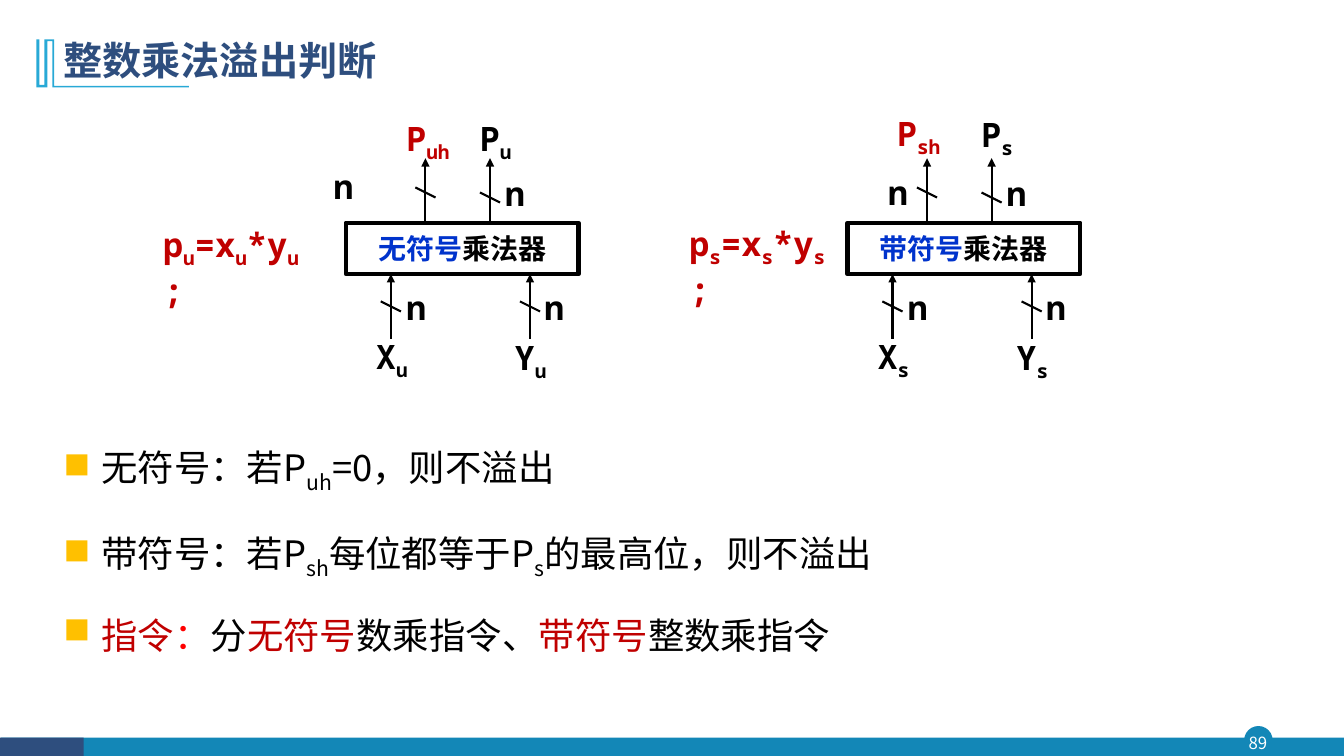
import dataclasses

import lxml.etree
import pptx
import pptx.dml.color
import pptx.enum.shapes
import pptx.enum.text
import pptx.oxml.ns
import pptx.util

Pt = pptx.util.Pt
Shape = pptx.enum.shapes.MSO_SHAPE
Align = pptx.enum.text.PP_ALIGN
Anchor = pptx.enum.text.MSO_ANCHOR


@dataclasses.dataclass(frozen=True)
class Theme:
    """Colours, fonts and type sizes of the slide."""
    navy: str = "2E4E7E"
    teal: str = "1387B7"
    sky: str = "28A9D6"
    amber: str = "FFC000"
    red: str = "C00000"
    bright_red: str = "FF0000"
    blue: str = "0033CC"
    black: str = "000000"
    white: str = "FFFFFF"
    sans: str = "Noto Sans CJK SC"
    mono: str = "Noto Sans Mono"
    title: int = 28
    body: int = 26
    label: int = 24
    box: int = 20
    number: int = 12


class Deck:
    """Draws styled elements, measured in points, on the current slide."""

    def __init__(self, prs, theme):
        self.theme = theme
        self.s = prs.slides.add_slide(prs.slide_layouts[6])
        self.shapes = self.s.shapes

    def rgb(self, color):
        return pptx.dml.color.RGBColor.from_string(color)

    def child(self, parent, tag, **attrs):
        return lxml.etree.SubElement(parent, pptx.oxml.ns.qn(tag), attrs)

    def add_runs(self, p, runs, size, font, bold=False):
        for text, color, lowered in runs:
            r = p.add_run()
            r.text = text
            r.font.size = Pt(size)
            r.font.name = font
            r.font.bold = bold
            r.font.color.rgb = self.rgb(color)
            props = r._r.get_or_add_rPr()
            self.child(props, "a:ea", typeface=self.theme.sans)
            if lowered:
                props.set("baseline", "-25000")

    def shape(self, kind, x, y, w, h, fill=None, line=None, width=1):
        sp = self.shapes.add_shape(kind, Pt(x), Pt(y), Pt(w), Pt(h))
        self.paint(sp, fill, line, width)
        return sp

    def paint(self, sp, fill, line=None, width=1):
        sp.shadow.inherit = False
        if fill:
            sp.fill.solid()
            sp.fill.fore_color.rgb = self.rgb(fill)
        else:
            sp.fill.background()
        if line:
            sp.line.color.rgb = self.rgb(line)
            sp.line.width = Pt(width)
        else:
            sp.line.fill.background()

    def outline(self, points, fill):
        start, *rest = [(Pt(x), Pt(y)) for x, y in points]
        builder = self.shapes.build_freeform(*start, scale=1.0)
        builder.add_line_segments(rest, close=True)
        self.paint(builder.convert_to_shape(), fill)

    def line(self, x1, y1, x2, y2, arrow=False):
        sp = self.shapes.add_connector(
            pptx.enum.shapes.MSO_CONNECTOR.STRAIGHT, Pt(x1), Pt(y1), Pt(x2), Pt(y2))
        sp.line.color.rgb = self.rgb(self.theme.black)
        sp.line.width = Pt(1.5)
        props = sp._element.spPr
        if arrow:
            self.child(props.find(pptx.oxml.ns.qn("a:ln")), "a:tailEnd", type="triangle")
        self.child(props, "a:effectLst")

    def frame(self, x, y, w, h, anchor=Anchor.TOP):
        tf = self.shapes.add_textbox(Pt(x), Pt(y), Pt(w), Pt(h)).text_frame
        tf.word_wrap = True
        tf.vertical_anchor = anchor
        return tf

    def label(self, x, y, runs, w=42.5):
        p = self.frame(x, y, w, 36).paragraphs[0]
        self.add_runs(p, runs, self.theme.label, self.theme.mono, True)

    def title(self, text):
        p = self.frame(38.2, 20.2, 828, 49, Anchor.MIDDLE).paragraphs[0]
        p.line_spacing = 0.9
        self.add_runs(p, [(text, self.theme.navy, False)], self.theme.title, self.theme.sans, True)

    def bullets(self, items):
        tf = self.frame(38.2, 296.6, 828, 213)
        for i, runs in enumerate(items):
            p = tf.add_paragraph() if i else tf.paragraphs[0]
            p.alignment = Align.JUSTIFY
            p.line_spacing = 1.5
            if i:
                p.space_before = Pt(8)
            props = p._p.get_or_add_pPr()
            props.set("marL", str(Pt(27)))
            props.set("indent", str(-Pt(27)))
            color = self.child(props, "a:buClr")
            self.child(color, "a:srgbClr", val=self.theme.amber)
            self.child(props, "a:buChar", char="■")
            self.add_runs(p, runs, self.theme.body, self.theme.sans)

    def decoration(self, number):
        t = self.theme
        self.shape(Shape.OVAL, 889.2, 519.1, 19.4, 19.4, t.teal, t.teal)
        self.shape(Shape.RECTANGLE, 0.7, 527, 959.3, 13.5, t.teal)
        self.shape(Shape.RECTANGLE, 0, 527, 59.8, 13.5, t.navy)
        tf = self.frame(887, 519.1, 23, 22.3, Anchor.MIDDLE)
        tf.margin_left = tf.margin_right = tf.margin_top = tf.margin_bottom = 0
        tf.paragraphs[0].alignment = Align.CENTER
        self.add_runs(tf.paragraphs[0], [(number, t.white, False)], t.number, t.sans)
        self.outline([(38.7, 28.1), (38.7, 61.3), (135, 61.3), (135, 62.5), (37.4, 62.5),
                      (37.4, 29.4), (33.8, 29.4), (33.8, 62.5), (26, 62.5), (26, 28.1),
                      (28.1, 28.1), (28.1, 60.7), (31.7, 60.7), (31.7, 28.1)], t.sky)

    def multiplier(self, left, kind, sub, low_y, high, high_n, formula):
        t = self.theme
        self.shapes = self.s.shapes.add_group_shape().shapes
        sp = self.shape(Shape.RECTANGLE, left, 159.1, 166.3, 36.7, None, t.black, 3)
        tf = sp.text_frame
        tf.vertical_anchor = Anchor.MIDDLE
        tf.paragraphs[0].alignment = Align.CENTER
        self.add_runs(tf.paragraphs[0], [(kind, t.blue, False), ("乘法器", t.black, False)],
                      t.box, t.mono, True)
        for dx, start, end, tick in ((32.2, 241.9, 195.8, 218.9), (131.6, 241.9, 195.8, 218.9),
                                     (56.9, 159.1, 113, 137.5), (103, 159.1, 113, 141.1)):
            x = left + dx
            self.line(x, start, x, end, arrow=True)
            self.line(x - 7.2, tick - 3.6, x + 7.2, tick + 3.6)
        for name, dx, y in (("X", 14.4, 236.2), ("Y", 113.6, 236.9), ("P", 88.5, low_y)):
            self.label(left + dx, y, [(name, t.black, False), (sub, t.black, True)])
        for dx, y in (high_n, (106.5, 120), (36, 201.6), (134.6, 201.6)):
            self.label(left + dx, y, [("n", t.black, False)])
        terms = [run for part in ("p", "=x", "*y")
                 for run in ((part, t.red, False), (sub, t.red, True))]
        self.label(left + formula[0], formula[1], terms + [(";", t.red, False)], 121.7)
        self.label(left + high[0], high[1], [("P", t.red, False), (sub + "h", t.red, True)], 53)
        self.shapes = self.s.shapes


def main():
    prs = pptx.Presentation()
    prs.slide_width, prs.slide_height = Pt(960), Pt(540)
    t = Theme()
    deck = Deck(prs, t)
    deck.decoration("89")
    deck.title("整数乘法溢出判断")
    deck.bullets([
        [("无符号：若P", t.black, False), ("uh", t.black, True), ("=0，则不溢出", t.black, False)],
        [("带符号：若P", t.black, False), ("sh", t.black, True), ("每位都等于P", t.black, False),
         ("s", t.black, True), ("的最高位，则不溢出", t.black, False)],
        [("指令", t.red, False), ("：", t.bright_red, False), ("分", t.black, False),
         ("无符号", t.red, False), ("数乘指令、", t.black, False),
         ("带符号", t.red, False), ("整数乘指令", t.black, False)],
    ])
    deck.multiplier(247, "无符号", "u", low_y=80.6, high=(36, 80.6),
                    high_n=(-15.9, 115.2), formula=(-137.6, 156.2))
    deck.multiplier(605.3, "带符号", "s", low_y=77.8, high=(28.3, 77),
                    high_n=(21.8, 119.5), formula=(-120, 155.5))
    prs.save("out.pptx")


if __name__ == "__main__":
    main()
